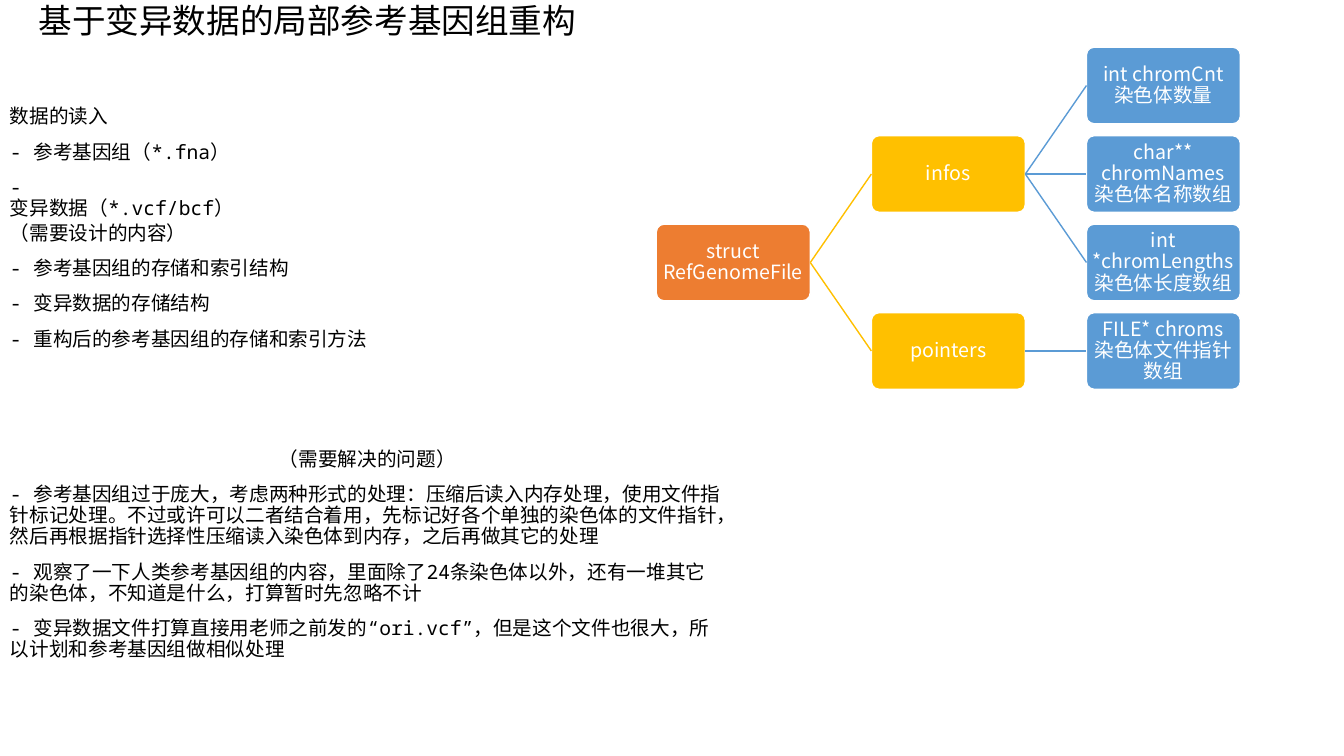
import pptx
import pptx.util
import pptx.dml.color
import pptx.enum.text
import pptx.enum.shapes
import pptx.oxml.ns
import lxml.etree

Cm, Pt = pptx.util.Cm, pptx.util.Pt
Align = pptx.enum.text.PP_ALIGN
COLORS = {"black": "000000", "white": "FFFFFF", "root": "ED7D31",
          "group": "FFC000", "field": "5B9BD5"}


class Page:
    mono = "Noto Sans Mono"
    sans = "Noto Sans CJK SC"
    # Tree grid
    left, top = 16.54, 1.19
    step, row = 5.42, 2.23
    wide, high = 3.88, 1.93

    def __init__(self, deck):
        self.slide = deck.slides.add_slide(deck.slide_layouts[6])

    def color(self, name):
        return pptx.dml.color.RGBColor.from_string(COLORS[name])

    def style(self, para, font, size, color):
        para.line_spacing = 0.9
        for run in para.runs:
            run.font.name = font
            run.font.size = Pt(size)
            run.font.color.rgb = self.color(color)
            east = lxml.etree.SubElement(run.font._element, pptx.oxml.ns.qn("a:ea"))
            east.set("typeface", font)

    def text(self, x, y, w, h, lines, size=14, center=False):
        box = self.slide.shapes.add_textbox(Cm(x), Cm(y), Cm(w), Cm(h))
        frame = box.text_frame
        frame.word_wrap = True
        frame.text = "\n".join(lines)
        for para in frame.paragraphs:
            para.space_before = Pt(10)
            self.style(para, self.mono, size, "black")
        if center:
            frame.paragraphs[0].alignment = Align.CENTER

    def node(self, col, row, label, color):
        box = self.slide.shapes.add_shape(
            pptx.enum.shapes.MSO_SHAPE.ROUNDED_RECTANGLE,
            Cm(self.left + col * self.step), Cm(self.top + row * self.row),
            Cm(self.wide), Cm(self.high))
        box.adjustments[0] = 0.1
        box.shadow.inherit = False
        box.fill.solid()
        box.fill.fore_color.rgb = self.color(color)
        box.line.color.rgb = self.color("white")
        box.line.width = Pt(1)
        frame = box.text_frame
        frame.word_wrap = True
        frame.vertical_anchor = pptx.enum.text.MSO_ANCHOR.MIDDLE
        frame.margin_left = frame.margin_right = Cm(0.03)
        frame.margin_top = frame.margin_bottom = Cm(0.03)
        frame.text = label
        para = frame.paragraphs[0]
        para.alignment = Align.CENTER
        self.style(para, self.sans, 14, "white")
        return box

    def link(self, start, end, color):
        line = self.slide.shapes.add_connector(
            pptx.enum.shapes.MSO_CONNECTOR.STRAIGHT, 0, 0, 0, 0)
        line.begin_connect(start, 3)
        line.end_connect(end, 1)
        line.line.color.rgb = self.color(color)
        line.line.width = Pt(1)
        lxml.etree.SubElement(line._element.spPr, pptx.oxml.ns.qn("a:effectLst"))


deck = pptx.Presentation()
deck.slide_width, deck.slide_height = Cm(33.87), Cm(19.05)
page = Page(deck)

# Title
page.text(0, 0, 15.49, 1.07, ["基于变异数据的局部参考基因组重构"], 24, True)

# Input data
page.text(0, 2.57, 6.65, 2.59, [
    "数据的读入",
    "- 参考基因组（*.fna）",
    "- 变异数据（*.vcf/bcf）"])

# Things to design
page.text(0, 5.51, 11.68, 3.48, [
    "（需要设计的内容）",
    "- 参考基因组的存储和索引结构",
    "- 变异数据的存储结构",
    "- 重构后的参考基因组的存储和索引方法"])

# Problems to solve
page.text(0, 11.2, 18.52, 5.64, [
    "（需要解决的问题）",
    "- 参考基因组过于庞大，考虑两种形式的处理：压缩后读入内存处理，使用文件指针标记处理。"
    "不过或许可以二者结合着用，先标记好各个单独的染色体的文件指针，"
    "然后再根据指针选择性压缩读入染色体到内存，之后再做其它的处理",
    "- 观察了一下人类参考基因组的内容，里面除了24条染色体以外，"
    "还有一堆其它的染色体，不知道是什么，打算暂时先忽略不计",
    "- 变异数据文件打算直接用老师之前发的“ori.vcf”，但是这个文件也很大，"
    "所以计划和参考基因组做相似处理"], center=True)

# Struct tree: group, its row, then its fields by row
tree = [
    ("infos", 1, [(0, "int chromCnt\v染色体数量"),
                  (1, "char** chromNames\v染色体名称数组"),
                  (2, "int *chromLengths\v染色体长度数组")]),
    ("pointers", 3, [(3, "FILE* chroms\v染色体文件指针数组")]),
]
root = page.node(0, 2, "struct RefGenomeFile", "root")
for name, row, fields in tree:
    group = page.node(1, row, name, "group")
    page.link(root, group, "group")
    for place, label in fields:
        field = page.node(2, place, label, "field")
        page.link(group, field, "field")

deck.save("out.pptx")
